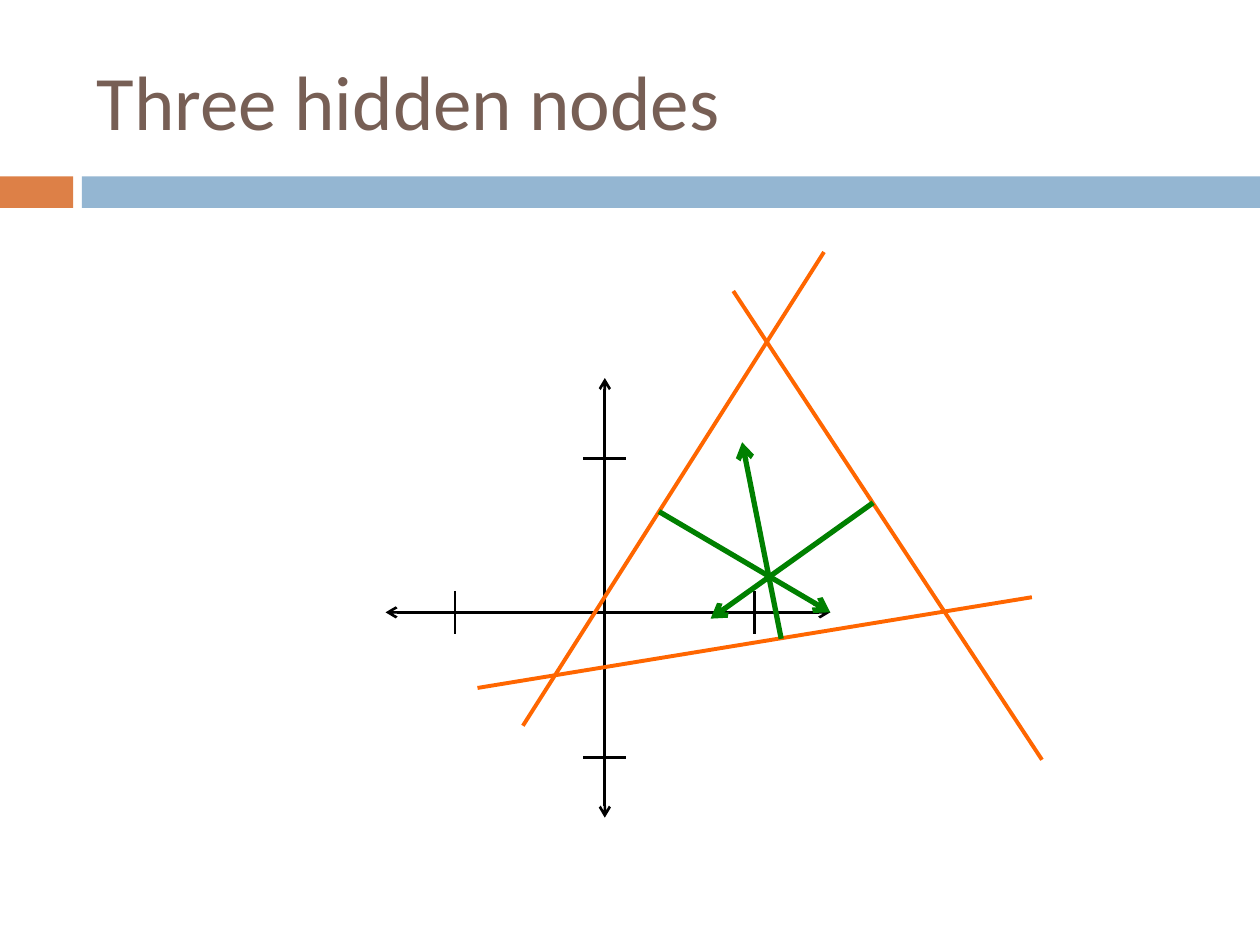
from dataclasses import dataclass

from pptx import Presentation
from pptx.dml.color import RGBColor
from pptx.enum.shapes import MSO_CONNECTOR, MSO_SHAPE
from pptx.enum.text import MSO_ANCHOR
from pptx.oxml.ns import qn
from pptx.util import Inches, Pt
from lxml.etree import SubElement


@dataclass(frozen=True)
class Theme:
    font: str = "Calibri"
    title: str = "775F55"
    accent: str = "DD8047"
    band: str = "94B6D2"
    axis: str = "000000"
    edge: str = "FF6600"
    normal: str = "008000"
    title_size: float = 44
    axis_width: float = 1.5
    edge_width: float = 2.25
    normal_width: float = 3


THEME = Theme()


def add_bar(slide, left, width, color):
    bar = slide.shapes.add_shape(
        MSO_SHAPE.RECTANGLE, Inches(left), Inches(1.4), Inches(width), Inches(0.25))
    bar.shadow.inherit = False
    bar.fill.solid()
    bar.fill.fore_color.rgb = RGBColor.from_string(color)
    bar.line.fill.background()


def add_title(slide, text):
    box = slide.shapes.add_textbox(Inches(0.67), Inches(0.25), Inches(8.92), Inches(1.08))
    frame = box.text_frame
    for name, value in {"word_wrap": True, "vertical_anchor": MSO_ANCHOR.MIDDLE}.items():
        setattr(frame, name, value)
    run = frame.paragraphs[0].add_run()
    run.text = text
    style = {"name": THEME.font, "size": Pt(THEME.title_size)}
    for name, value in style.items():
        setattr(run.font, name, value)
    run.font.color.rgb = RGBColor.from_string(THEME.title)


def add_line(shapes, start, end, color, width, ends=()):
    line = shapes.add_connector(
        MSO_CONNECTOR.STRAIGHT, *(Inches(value) for value in (*start, *end)))
    line.line.color.rgb = RGBColor.from_string(color)
    line.line.width = Pt(width)
    props = line._element.spPr
    for tag in ends:
        SubElement(props.find(qn("a:ln")), qn(tag), type="arrow")
    SubElement(props, qn("a:effectLst"))


def add_axes(slide):
    shapes = slide.shapes.add_group_shape().shapes
    x, y, half = 4.8, 4.86, 0.17
    pen = (THEME.axis, THEME.axis_width)
    both = ("a:headEnd", "a:tailEnd")
    add_line(shapes, (x, 6.49), (x, 3), *pen, both)
    add_line(shapes, (3.06, y), (6.59, y), *pen, both)
    # Unit ticks
    for tick in (3.64, 6.01):
        add_line(shapes, (x - half, tick), (x + half, tick), *pen)
    for tick in (5.99, 3.61):
        add_line(shapes, (tick, y - half), (tick, y + half), *pen)


def add_node(slide, edge, normal):
    shapes = slide.shapes.add_group_shape().shapes
    add_line(shapes, *edge, THEME.edge, THEME.edge_width)
    add_line(shapes, *normal, THEME.normal, THEME.normal_width, ("a:tailEnd",))


def main():
    deck = Presentation()
    deck.slide_width, deck.slide_height = Inches(10), Inches(7.5)
    slide = deck.slides.add_slide(deck.slide_layouts[6])

    # Header
    add_bar(slide, 0, 0.58, THEME.accent)
    add_bar(slide, 0.65, 9.35, THEME.band)
    add_title(slide, "Three hidden nodes")

    # Plot: each node has a boundary and the normal to it
    add_axes(slide)
    nodes = (
        (((6.54, 2), (4.15, 5.76)), ((5.23, 4.06), (6.59, 4.86))),
        (((8.27, 6.03), (5.82, 2.31)), ((6.93, 3.99), (5.64, 4.91))),
        (((3.79, 5.46), (8.19, 4.74)), ((6.2, 5.07), (5.89, 3.51))),
    )
    for edge, normal in nodes:
        add_node(slide, edge, normal)

    deck.save("out.pptx")


if __name__ == "__main__":
    main()
